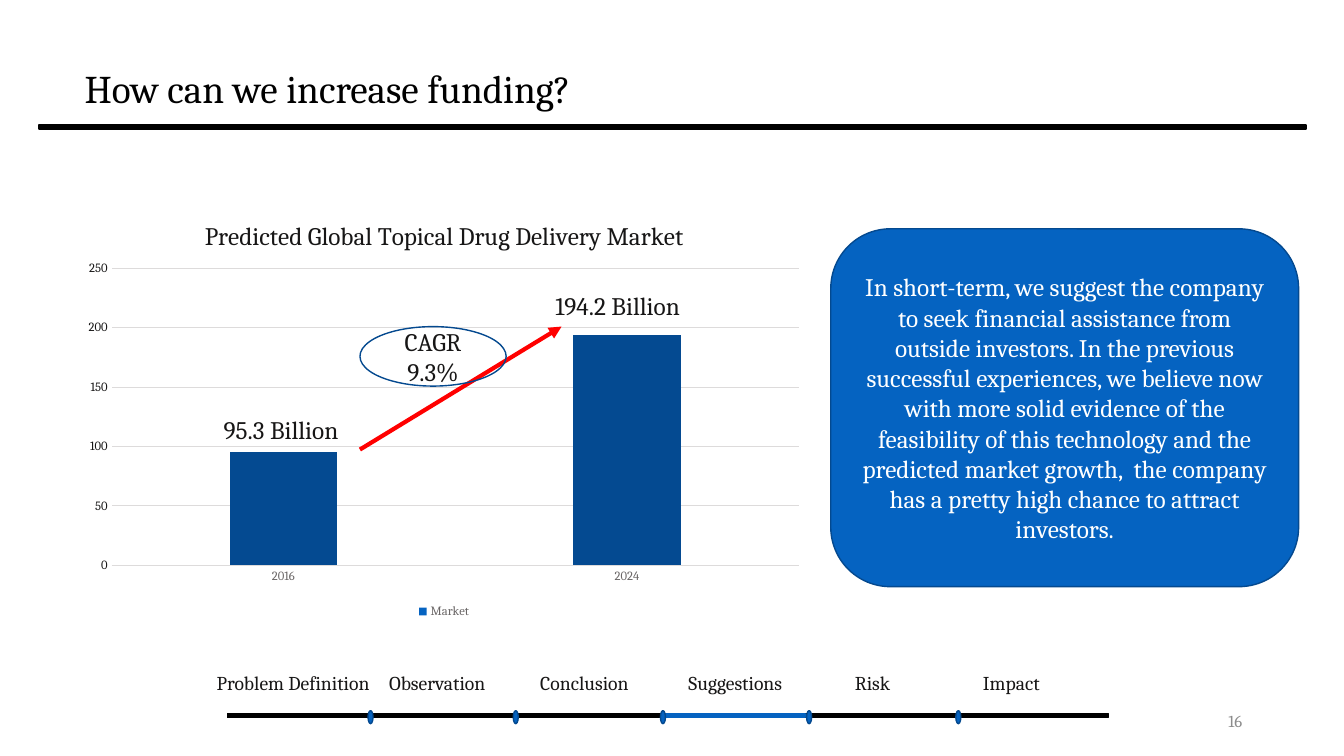
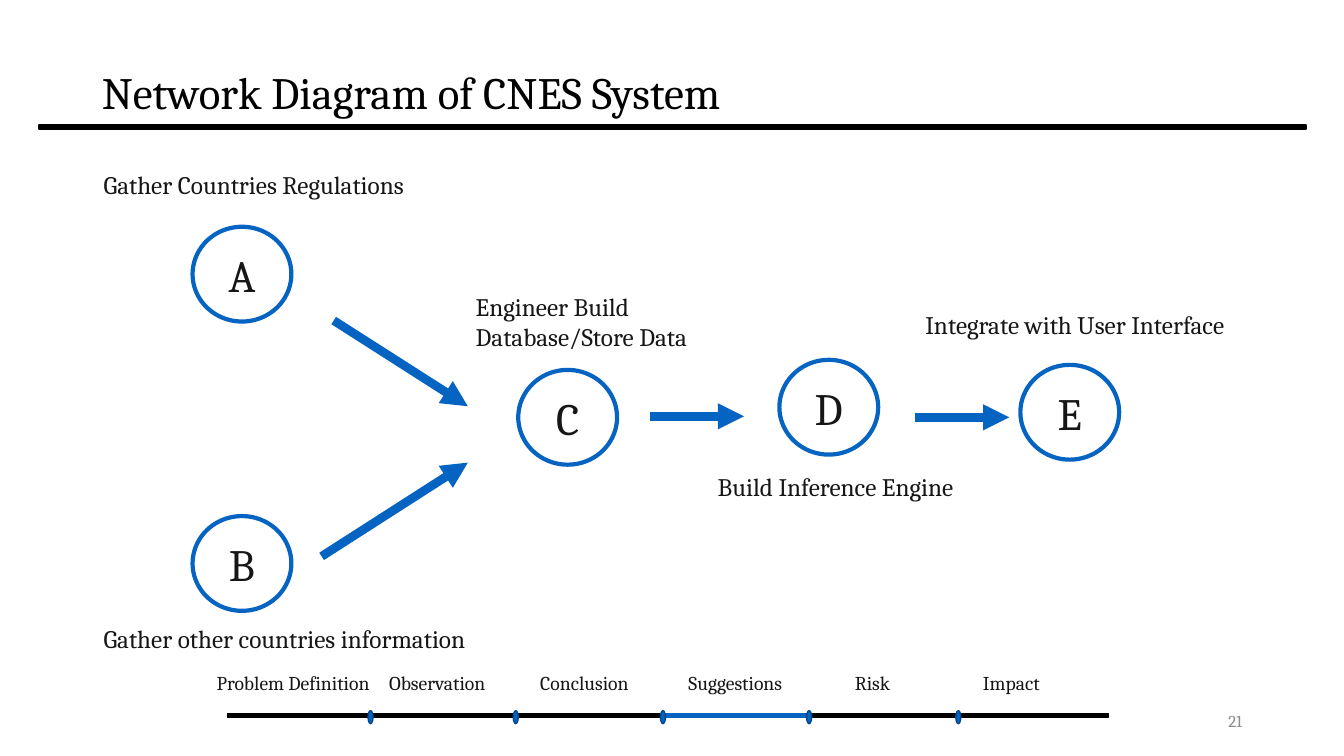
from lxml.etree import SubElement
from pptx import Presentation
from pptx.chart.data import CategoryChartData
from pptx.dml.color import RGBColor
from pptx.enum.chart import XL_CHART_TYPE, XL_LEGEND_POSITION, XL_TICK_MARK
from pptx.enum.shapes import MSO_CONNECTOR, MSO_SHAPE
from pptx.enum.text import MSO_ANCHOR, MSO_AUTO_SIZE, PP_ALIGN
from pptx.oxml import parse_xml
from pptx.oxml.ns import nsdecls, qn
from pptx.util import Inches, Pt

FONT = "Cambria"
BLACK, WHITE, INK, GREY = "000000", "FFFFFF", "171616", "8C8C8C"
BLUE, NAVY, BAR_BLUE, RED = "0563C1", "04498F", "044A91", "FF0000"
GRID, MUTED = "DDDBDB", "6A6666"
STAGES = [("Problem Definition", 2.05, 1.8), ("Observation", 3.76, 1.22),
          ("Conclusion", 5.26, 1.13), ("Suggestions", 6.73, 1.2),
          ("Risk", 8.38, 0.57), ("Impact", 9.65, 0.79)]
STAGE_ENDS = [3.65, 5.09, 6.55, 8, 9.48]


def rgb(value):
    """Turn a hex string into a colour."""
    return RGBColor.from_string(value)


def style_font(font, size, color):
    """Set the deck font with a size and colour."""
    font.name, font.size, font.bold = FONT, Pt(size), False
    font.color.rgb = rgb(color)


def write(frame, lines, size, color=INK, align=PP_ALIGN.LEFT):
    """Fill a text frame with one run per paragraph."""
    for index, line in enumerate(lines):
        paragraph = frame.add_paragraph() if index else frame.paragraphs[0]
        paragraph.alignment = align
        run = paragraph.add_run()
        run.text = line
        style_font(run.font, size, color)


def add_label(slide, box, text, size=18, color=INK, align=PP_ALIGN.LEFT,
              wrap=True, anchor=MSO_ANCHOR.TOP):
    """Place a text box in the given box."""
    frame = slide.shapes.add_textbox(*map(Inches, box)).text_frame
    frame.word_wrap, frame.vertical_anchor = wrap, anchor
    write(frame, [text], size, color, align)


def add_figure(slide, kind, box, fill, outline, width=1, lines=(), size=18, color=INK):
    """Place a preset shape with centred text."""
    figure = slide.shapes.add_shape(kind, *map(Inches, box))
    figure.shadow.inherit = False
    if fill:
        figure.fill.solid()
        figure.fill.fore_color.rgb = rgb(fill)
    else:
        figure.fill.background()
    figure.line.color.rgb = rgb(outline)
    figure.line.width = Pt(width)
    figure.text_frame.vertical_anchor = MSO_ANCHOR.MIDDLE
    write(figure.text_frame, lines, size, color, PP_ALIGN.CENTER)


def add_arrow(slide, start, end, color, width):
    """Draw a straight arrow between two points."""
    arrow = slide.shapes.add_connector(MSO_CONNECTOR.STRAIGHT, *map(Inches, start + end))
    arrow.line.color.rgb = rgb(color)
    arrow.line.width = Pt(width)
    SubElement(arrow.line._get_or_add_ln(), qn("a:tailEnd"), type="triangle")
    SubElement(arrow._element.spPr, qn("a:effectLst"))


def add_rule(slide, box, color):
    """Draw a thick horizontal rule."""
    add_figure(slide, MSO_SHAPE.MATH_MINUS, box, color, color)


def add_progress(slide, top):
    """Draw the stage timeline with the current stage in blue."""
    rule_top = top + 0.4
    add_rule(slide, (0.68, rule_top, 11.89, 0.18), BLACK)
    add_rule(slide, (6.31, rule_top, 1.93, 0.18), BLUE)
    for left in STAGE_ENDS:
        add_figure(slide, MSO_SHAPE.OVAL, (left, top + 0.44, 0.05, 0.13), BLUE, NAVY)
    for stage, left, width in STAGES:
        add_label(slide, (left, top, width, 0.34), stage, 14, wrap=False)


def add_page(deck, title, title_box, title_size, number):
    """Start a slide with its title, rule, timeline and number."""
    slide = deck.slides.add_slide(deck.slide_layouts[5])
    heading = slide.shapes.title
    heading.left, heading.top, heading.width, heading.height = map(Inches, title_box)
    heading.text_frame.auto_size = MSO_AUTO_SIZE.NONE
    heading.text_frame.vertical_anchor = MSO_ANCHOR.MIDDLE
    write(heading.text_frame, [title], title_size, BLACK)
    heading.text_frame.paragraphs[0].line_spacing = 0.9
    add_rule(slide, (-1.88, 1.17, 17.1, 0.18), BLACK)
    add_progress(slide, 6.61)
    add_label(slide, (9.42, 6.95, 3, 0.4), number, 12, GREY, PP_ALIGN.RIGHT,
              anchor=MSO_ANCHOR.MIDDLE)
    return slide


def manual_layout(**settings):
    """Build a chart layout element from its settings."""
    rows = "".join(f'<c:{key} val="{value}"/>' for key, value in settings.items())
    return parse_xml(f'<c:layout {nsdecls("c")}><c:manualLayout>{rows}'
                     '</c:manualLayout></c:layout>')


def set_layout(parent, layout, position):
    """Replace the layout of a chart part."""
    for old in parent.findall(qn("c:layout")):
        parent.remove(old)
    parent.insert(position, layout)


def style_axes(chart):
    """Format both axes and the gridlines."""
    years, amounts = chart.category_axis, chart.value_axis
    for axis, color in ((years, MUTED), (amounts, INK)):
        axis.major_tick_mark = axis.minor_tick_mark = XL_TICK_MARK.NONE
        style_font(axis.tick_labels.font, 9, color)
    amounts.minimum_scale, amounts.maximum_scale, amounts.major_unit = 0, 250, 50
    amounts.format.line.fill.background()
    for line in (years.format.line, amounts.major_gridlines.format.line):
        line.color.rgb = rgb(GRID)
        line.width = Pt(0.75)


def add_market_chart(slide, box):
    """Place the market column chart in the given box."""
    market = CategoryChartData()
    market.categories = ["2016", "2024"]
    market.add_series("Market", [95, 194])
    chart = slide.shapes.add_chart(XL_CHART_TYPE.COLUMN_CLUSTERED,
                                   *map(Inches, box), market).chart
    style_font(chart.font, 10, INK)
    chart.has_title = True
    write(chart.chart_title.text_frame, ["Predicted Global Topical Drug Delivery Market"],
          18, align=PP_ALIGN.CENTER)
    chart.chart_title.include_in_layout = False
    chart.has_legend = True
    chart.legend.position = XL_LEGEND_POSITION.BOTTOM
    chart.legend.include_in_layout = False
    style_font(chart.legend.font, 9, MUTED)
    style_axes(chart)
    columns = chart.plots[0]
    columns.gap_width, columns.overlap, columns.vary_by_categories = 219, -27, False
    series = columns.series[0]
    series.format.fill.solid()
    series.format.fill.fore_color.rgb = rgb(BLUE)
    for index in range(2):
        column = series.points[index].format.fill
        column.solid()
        column.fore_color.rgb = rgb(BAR_BLUE)
    set_layout(chart.chart_title._element,
               manual_layout(xMode="edge", yMode="edge", x=0.17, y=0.05), 1)
    set_layout(chart._chartSpace.chart.plotArea,
               manual_layout(layoutTarget="inner", xMode="edge", yMode="edge",
                             x=0.05, y=0.174, w=0.93, h=0.692), 0)


def add_growth(slide, left, top):
    """Mark the amounts and the growth rate over the chart."""
    add_label(slide, (left + 1.38, top + 2.14, 1.45, 0.4), "95.3 Billion")
    add_label(slide, (left + 4.67, top + 0.91, 1.63, 0.4), "194.2 Billion")
    add_arrow(slide, (left + 2.83, top + 2.54), (left + 4.83, top + 1.32), RED, 3)
    add_figure(slide, MSO_SHAPE.OVAL, (left + 2.83, top + 1.32, 1.45, 0.59),
               None, NAVY, lines=["CAGR", "9.3%"])


def build_funding(deck):
    """Build the funding slide."""
    slide = add_page(deck, "How can we increase funding?", (0.74, 0.18, 11.5, 1.45), 28, "16")
    add_market_chart(slide, (0.74, 1.92, 7.33, 4.26))
    add_growth(slide, 0.74, 1.92)
    advice = ("In short-term, we suggest the company to seek financial assistance from "
              "outside investors. In the previous successful experiences, we believe now "
              "with more solid evidence of the feasibility of this technology and the "
              "predicted market growth,  the company has a pretty high chance to attract "
              "investors.")
    add_figure(slide, MSO_SHAPE.ROUNDED_RECTANGLE, (8.24, 2.27, 4.64, 3.55),
               BLUE, NAVY, lines=[advice], color=WHITE)


def add_network(slide, left, top):
    """Draw the lettered steps, their captions and arrows."""
    nodes = [("A", 0.98, 0.62), ("B", 0.98, 3.49), ("C", 4.21, 2.04),
             ("D", 6.8, 1.94), ("E", 9.19, 1.99)]
    captions = [("Gather Countries Regulations", 0, 0, 6.09, 0.4),
                ("Gather other countries information", 0, 4.5, 4.34, 0.4),
                ("Engineer Build Database/Store Data", 3.69, 1.21, 3, 0.71),
                ("Build Inference Engine", 6.09, 3, 3.09, 0.4),
                ("Integrate with User Interface", 8.15, 1.39, 3.34, 0.4)]
    flows = [(2.38, 1.55, 3.71, 2.4), (2.26, 3.89, 3.71, 2.96),
             (5.52, 2.5, 6.45, 2.5), (8.15, 2.51, 9.08, 2.51)]
    for letter, x, y in nodes:
        add_figure(slide, MSO_SHAPE.OVAL, (left + x, top + y, 0.98, 0.94),
                   WHITE, BLUE, 3, [letter], 32)
    for caption, x, y, width, height in captions:
        add_label(slide, (left + x, top + y, width, height), caption)
    for x1, y1, x2, y2 in flows:
        add_arrow(slide, (left + x1, top + y1), (left + x2, top + y2), BLUE, 6.25)


def build_network(deck):
    """Build the network diagram slide."""
    slide = add_page(deck, "Network Diagram of CNES System", (0.91, 0.22, 11.5, 1.45), 32, "21")
    add_network(slide, 0.93, 1.63)


def main():
    """Build and save the deck."""
    deck = Presentation()
    deck.slide_width, deck.slide_height = Inches(13.33), Inches(7.5)
    build_funding(deck)
    build_network(deck)
    deck.save("out.pptx")


main()
